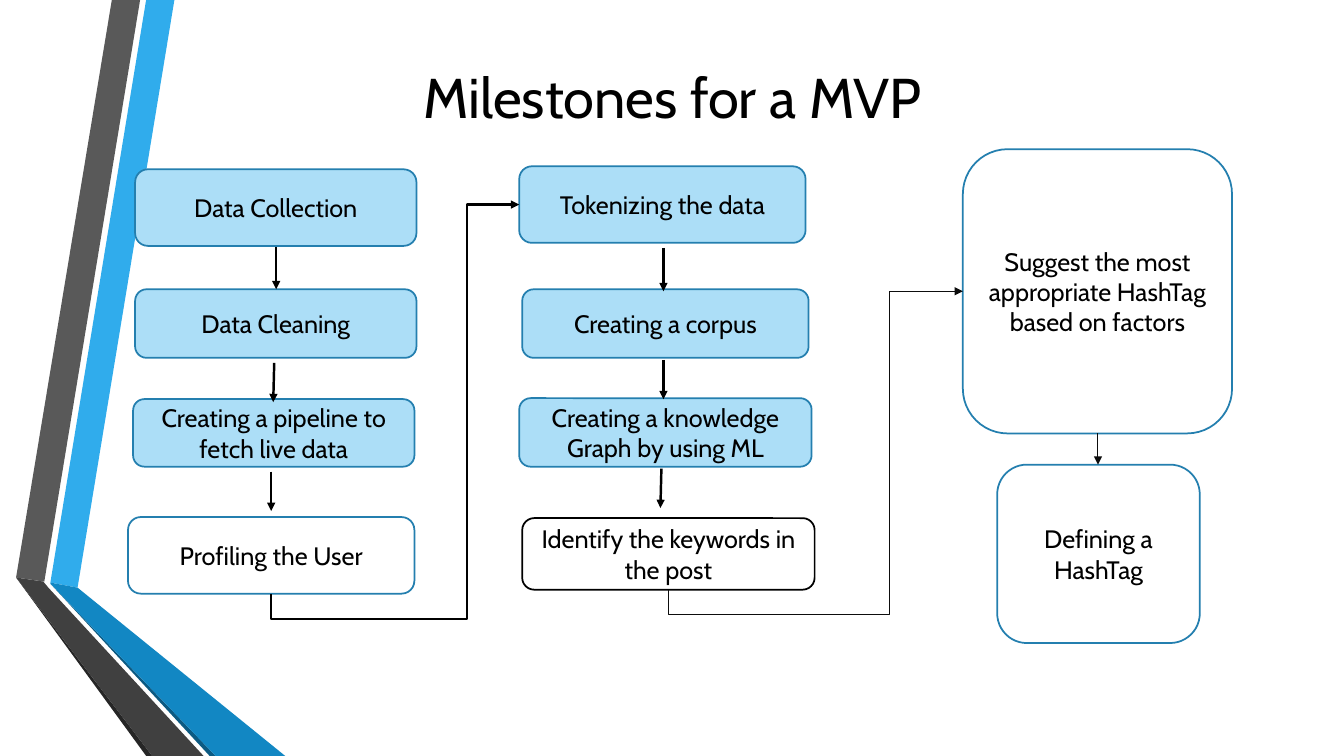
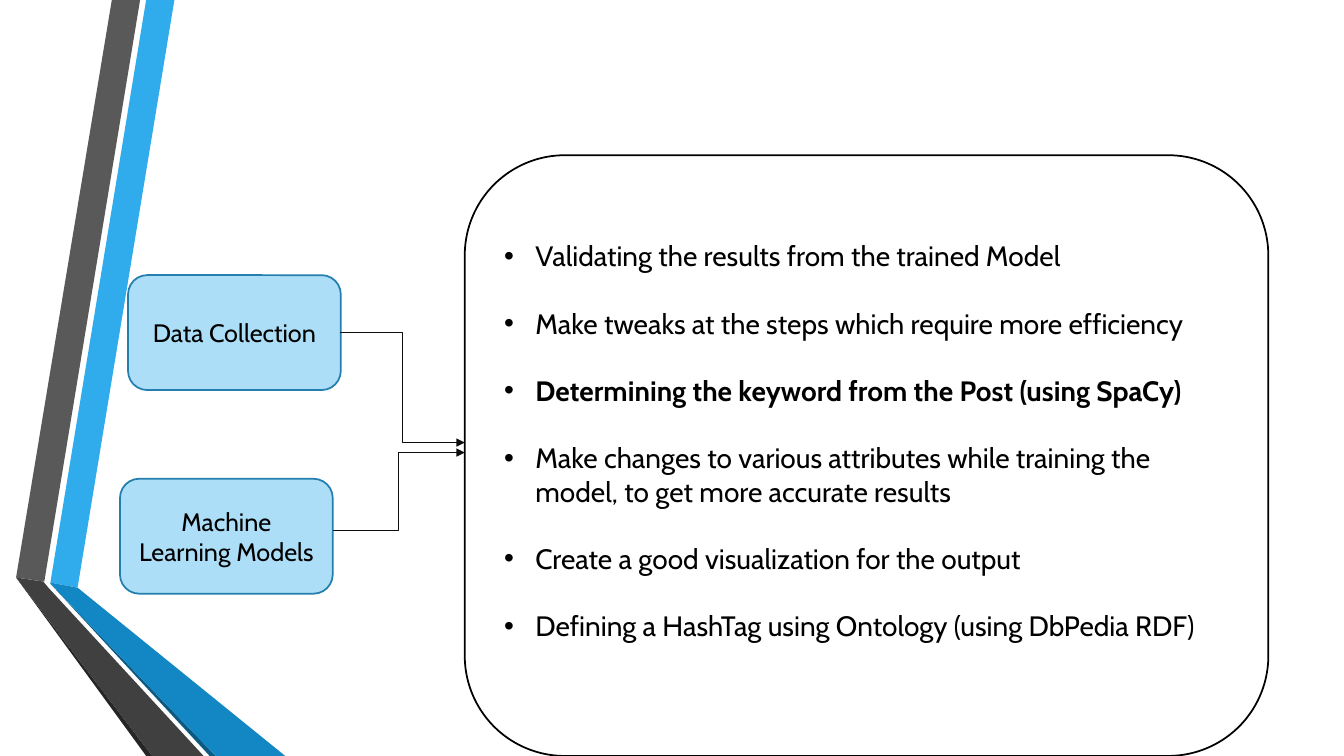
import pptx
import pptx.util
import pptx.dml.color
import pptx.enum.shapes
import pptx.enum.text
import pptx.oxml.ns
import lxml.etree

Inches = pptx.util.Inches
Pt = pptx.util.Pt
qn = pptx.oxml.ns.qn

FONT = "Cabin"
COLORS = {
    "text": "000000", "box": "ACDEF7", "edge": "247FAF", "white": "FFFFFF",
    "thin": "0D0D0D", "sky": "30ACEC", "gray": "595959", "shade": "262626",
    "navy": "0C5A82", "blue": "1287C3", "dark": "404040",
}

# Side ribbons: colour and outline points in inches
RIBBONS = [
    ("sky", [(0.5, 5.78), (0.77, 5.83), (1.73, 0), (1.45, 0)]),
    ("gray", [(1.39, 0), (1.11, 0), (0.16, 5.73), (0.44, 5.77)]),
    ("shade", [(0.16, 5.73), (1.45, 7.5), (1.51, 7.5)]),
    ("navy", [(0.5, 5.79), (2.08, 7.5), (2.14, 7.5)]),
    ("blue", [(0.5, 5.79), (2.14, 7.5), (2.83, 7.5), (0.77, 5.83), (0.5, 5.78)]),
    ("dark", [(2.02, 7.5), (0.48, 5.83), (0.43, 5.77), (0.16, 5.73), (1.51, 7.5)]),
]

# Milestone boxes: text, left, top, width, height, fill, edge
MILESTONES = [
    ("Data Collection", 1.34, 1.68, 2.79, 0.76, "box", "edge"),
    ("Data Cleaning", 1.34, 2.87, 2.79, 0.68, "box", "edge"),
    ("Creating a pipeline to fetch live data", 1.32, 3.96, 2.79, 0.67, "box", "edge"),
    ("Profiling the User", 1.27, 5.13, 2.84, 0.76, "white", "edge"),
    ("Tokenizing the data", 5.15, 1.65, 2.84, 0.76, "box", "edge"),
    ("Creating a corpus", 5.18, 2.87, 2.84, 0.68, "box", "edge"),
    ("Creating a knowledge Graph by using ML", 5.15, 3.95, 2.9, 0.68, "box", "edge"),
    ("Identify the keywords in the post", 5.18, 5.14, 2.9, 0.71, "white", "text"),
    ("Suggest the most appropriate HashTag based on factors",
     9.55, 1.48, 2.67, 2.82, "white", "edge"),
    ("Defining a HashTag", 9.89, 4.61, 2.01, 1.77, "white", "edge"),
]

# Vertical arrows: start x, start y, end x, end y
STEP_ARROWS = [
    (2.74, 2.45, 2.74, 2.87), (2.72, 3.6, 2.71, 3.99), (2.69, 4.68, 2.69, 5.07),
    (6.58, 2.46, 6.58, 2.89), (6.58, 3.57, 6.58, 3.96), (6.56, 4.65, 6.55, 5.04),
]

# List items: text, bold
NEXT_STEPS = [
    ("Validating the results from the trained Model", False),
    ("Make tweaks at the steps which require more efficiency", False),
    ("Determining the keyword from the Post (using SpaCy)", True),
    ("Make changes to various attributes while training the model, "
     "to get more accurate results", False),
    ("Create a good visualization for the output", False),
    ("Defining a HashTag using Ontology (using DbPedia RDF)", False),
]


def rgb(name):
    return pptx.dml.color.RGBColor.from_string(COLORS[name])


def paint(shape, fill, edge=None):
    shape.shadow.inherit = False
    shape.fill.solid()
    shape.fill.fore_color.rgb = rgb(fill)
    if edge:
        shape.line.color.rgb = rgb(edge)
        shape.line.width = Pt(1.25)
    else:
        shape.line.fill.background()


def place(shape, left, top, width, height):
    shape.left, shape.top = Inches(left), Inches(top)
    shape.width, shape.height = Inches(width), Inches(height)


def add_run(p, text, size, bold=False):
    r = p.add_run()
    r.text = text
    r.font.name = FONT
    r.font.size = Pt(size)
    r.font.bold = bold
    r.font.color.rgb = rgb("text")


def fill_centered(shape, text, size):
    tf = shape.text_frame
    tf.word_wrap = True
    tf.auto_size = pptx.enum.text.MSO_AUTO_SIZE.NONE
    tf.vertical_anchor = pptx.enum.text.MSO_ANCHOR.MIDDLE
    p = tf.paragraphs[0]
    p.alignment = pptx.enum.text.PP_ALIGN.CENTER
    add_run(p, text, size)


def set_title(s, text, *area):
    place(s.shapes.title, *area)
    fill_centered(s.shapes.title, text, 40)


def add_panel(s, left, top, width, height, fill, edge):
    sp = s.shapes.add_shape(pptx.enum.shapes.MSO_SHAPE.ROUNDED_RECTANGLE,
                            Inches(left), Inches(top), Inches(width), Inches(height))
    paint(sp, fill, edge)
    return sp


def add_box(s, text, *look):
    fill_centered(add_panel(s, *look), text, 18)


def add_arrow(s, x1, y1, x2, y2, color="text", weight=1.75, elbow=False):
    kinds = pptx.enum.shapes.MSO_CONNECTOR
    c = s.shapes.add_connector(kinds.ELBOW if elbow else kinds.STRAIGHT,
                               Inches(x1), Inches(y1), Inches(x2), Inches(y2))
    c.line.color.rgb = rgb(color)
    c.line.width = Pt(weight)
    spPr = c.element.spPr
    lxml.etree.SubElement(spPr.find(qn("a:ln")), qn("a:tailEnd"), type="triangle")
    lxml.etree.SubElement(spPr, qn("a:effectLst"))
    return c


def add_riser(s, x1, y1, x2, y2, drop, turn_x, color, weight):
    """Arrow that drops below its start, runs to turn_x, rises and enters x2."""
    wide, high = x2 - x1, y1 - y2
    mid_x, mid_y = (x1 + x2) / 2, (y1 + y2) / 2
    # The preset is turned a quarter, so its width is the height on the slide
    c = add_arrow(s, mid_x + high / 2, mid_y + wide / 2,
                  mid_x - high / 2, mid_y - wide / 2, color, weight, elbow=True)
    spPr = c.element.spPr
    spPr.find(qn("a:xfrm")).set("rot", str(90 * 60000))
    geom = spPr.find(qn("a:prstGeom"))
    geom.set("prst", "bentConnector4")
    guides = geom.find(qn("a:avLst"))
    if guides is None:
        guides = lxml.etree.SubElement(geom, qn("a:avLst"))
    for name, share in (("adj1", -drop / high), ("adj2", (turn_x - x1) / wide)):
        lxml.etree.SubElement(guides, qn("a:gd"), name=name,
                              fmla=f"val {round(share * 100000)}")


def add_ribbons(prs, s):
    """Draw the ribbons and move them to the master, behind its placeholders."""
    tree = prs.slide_master.shapes.element
    for i, (color, points) in enumerate(RIBBONS):
        points = [(Inches(x), Inches(y)) for x, y in points]
        outline = s.shapes.build_freeform(*points[0])
        outline.add_line_segments(points[1:], close=True)
        ribbon = outline.convert_to_shape()
        paint(ribbon, color)
        ribbon.element.nvSpPr.cNvPr.set("id", str(100 + i))
        tree.insert(2 + i, ribbon.element)


def fill_list(s, body, items, *area):
    s.shapes.element.append(body.element)  # bring in front of the panel
    place(body, *area)
    tf = body.text_frame
    tf.word_wrap = True
    tf.auto_size = pptx.enum.text.MSO_AUTO_SIZE.NONE
    tf.vertical_anchor = pptx.enum.text.MSO_ANCHOR.TOP
    tf.margin_left = tf.margin_right = tf.margin_top = tf.margin_bottom = 0
    for i, (text, bold) in enumerate(items):
        p = tf.add_paragraph() if i else tf.paragraphs[0]
        p.space_before = Pt(0)
        p.space_after = Pt(24)
        pPr = p._p.get_or_add_pPr()
        pPr.set("marL", str(Inches(0.31)))
        pPr.set("indent", str(-Inches(0.31)))
        lxml.etree.SubElement(pPr, qn("a:buFont"), typeface="Arial")
        lxml.etree.SubElement(pPr, qn("a:buChar"), char="•")
        add_run(p, text, 20, bold)


def build_milestones(prs):
    s = prs.slides.add_slide(prs.slide_layouts[5])
    add_ribbons(prs, s)
    set_title(s, "Milestones for a MVP", 0.92, 0.23, 11.5, 1.45)
    for box in MILESTONES:
        add_box(s, *box)
    for ends in STEP_ARROWS:
        add_arrow(s, *ends)
    add_arrow(s, 10.89, 4.3, 10.89, 4.61, "thin", 0.75)
    # Links from the foot of one column to the head of the next
    add_riser(s, 2.69, 5.89, 5.15, 2.03, 0.25, 4.63, "text", 1.75)
    add_riser(s, 6.63, 5.85, 9.55, 2.89, 0.25, 8.82, "thin", 0.75)


def build_next_steps(prs):
    s = prs.slides.add_slide(prs.slide_layouts[1])
    s.shapes.element.remove(s.shapes.title.element)  # this slide has no title
    add_box(s, "Data Collection", 1.27, 2.73, 2.11, 1.14, "box", "edge")
    add_box(s, "Machine Learning Models", 1.19, 4.75, 2.11, 1.14, "box", "edge")
    add_panel(s, 4.61, 1.54, 7.97, 5.96, "white", "text")
    fill_list(s, s.placeholders[1], NEXT_STEPS, 5.0, 2.37, 7.19, 4.2)
    add_arrow(s, 3.3, 5.26, 4.61, 4.49, "thin", 0.75, elbow=True)
    add_arrow(s, 3.37, 3.3, 4.61, 4.39, "thin", 0.75, elbow=True)


def main():
    prs = pptx.Presentation()
    prs.slide_width, prs.slide_height = Inches(13.33), Inches(7.5)
    build_milestones(prs)
    build_next_steps(prs)
    prs.save("out.pptx")


main()
